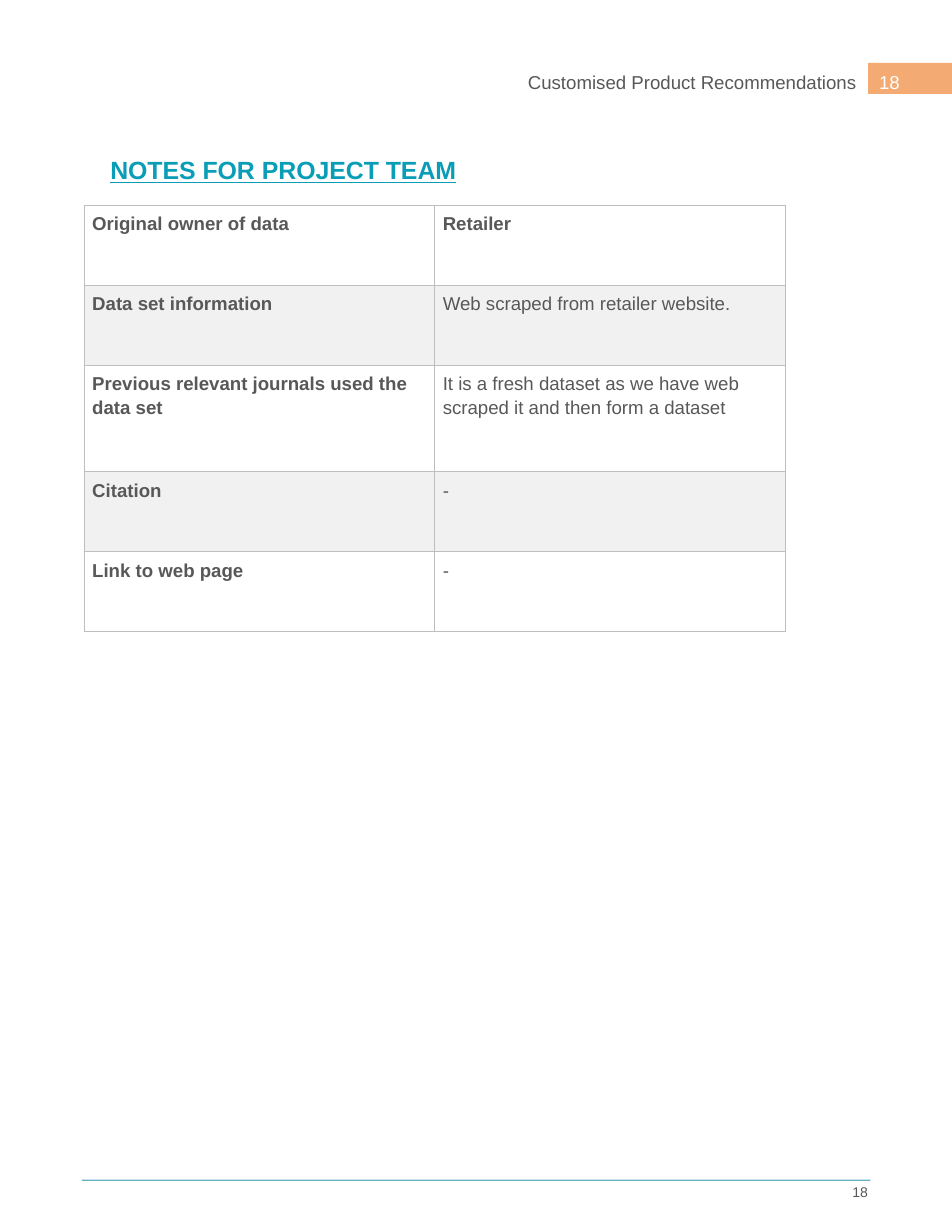
"""Build the project team notes page with its data set table."""

from dataclasses import dataclass

from lxml import etree
from pptx import Presentation
from pptx.dml.color import RGBColor
from pptx.enum import shapes, text
from pptx.oxml import ns
from pptx.util import Length, Pt

FONT = "Arial"
GREY = RGBColor(0x58, 0x58, 0x58)
WHITE = RGBColor(0xFF, 0xFF, 0xFF)
TEAL = RGBColor(0x0A, 0x9D, 0xB7)
RULE = RGBColor(0x63, 0xB1, 0xC1)
ORANGE = RGBColor(0xF4, 0xAA, 0x73)
BAND = RGBColor(0xF1, 0xF1, 0xF1)
BORDER = RGBColor(0xBE, 0xBE, 0xBE)


@dataclass(frozen=True)
class Box:
    left: float
    top: float
    width: float
    height: float

    def lengths(self) -> tuple[Length, ...]:
        return Pt(self.left), Pt(self.top), Pt(self.width), Pt(self.height)


@dataclass(frozen=True)
class Row:
    label: str
    value: str
    height: float = 51.5
    inset: float = 5.5
    line_spacing: float = 1.0
    bold_value: bool = False


PAGE_NUMBER = "18"
TABLE_BOX = Box(54, 131.76, 450.8, 274.4)
ROWS = [
    Row("Original owner of data", "Retailer", bold_value=True),
    Row("Data set information", "Web scraped from retailer website."),
    Row("Previous relevant journals used the data set",
        "It is a fresh dataset as we have web scraped it and then form a dataset",
        height=68.4, inset=3.4, line_spacing=1.15),
    Row("Citation", "-"),
    Row("Link to web page", "-"),
]


def write(frame, content: str, *, size: float = 12, color: RGBColor = GREY,
          bold: bool = False, underline: bool = False, line_spacing: float = 1.0) -> None:
    paragraph = frame.paragraphs[0]
    paragraph.alignment = text.PP_ALIGN.LEFT
    paragraph.line_spacing = line_spacing
    run = paragraph.add_run()
    run.text = content
    font = run.font
    font.name, font.size, font.bold, font.underline = FONT, Pt(size), bold, underline
    font.color.rgb = color


def set_frame(frame, left: float, top: float) -> None:
    frame.margin_left, frame.margin_top = Pt(left), Pt(top)
    frame.margin_right = frame.margin_bottom = 0
    frame.vertical_anchor = text.MSO_ANCHOR.TOP
    frame.auto_size = text.MSO_AUTO_SIZE.NONE
    frame.word_wrap = False


def add_text(slide, box: Box, content: str, *, indent: float, **style) -> None:
    frame = slide.shapes.add_textbox(*box.lengths()).text_frame
    set_frame(frame, indent, 1)
    write(frame, content, **style)


def add_rectangle(slide, box: Box, color: RGBColor):
    shape = slide.shapes.add_shape(shapes.MSO_SHAPE.RECTANGLE, *box.lengths())
    shape.shadow.inherit = False
    shape.fill.solid()
    shape.fill.fore_color.rgb = color
    shape.line.fill.background()
    return shape


def set_borders(cell) -> None:
    properties = cell._tc.get_or_add_tcPr()
    for position, side in enumerate(("lnL", "lnR", "lnT", "lnB")):
        line = etree.Element(ns.qn(f"a:{side}"), w=str(Pt(0.5)))
        fill = etree.SubElement(line, ns.qn("a:solidFill"))
        etree.SubElement(fill, ns.qn("a:srgbClr"), val=str(BORDER))
        properties.insert(position, line)


def fill_cell(cell, row: Row, content: str, *, bold: bool, banded: bool) -> None:
    cell.margin_left, cell.margin_top = Pt(5.3), Pt(row.inset)
    cell.margin_right = cell.margin_bottom = 0
    cell.vertical_anchor = text.MSO_ANCHOR.TOP
    if banded:
        cell.fill.solid()
        cell.fill.fore_color.rgb = BAND
    else:
        cell.fill.background()
    set_borders(cell)
    write(cell.text_frame, content, bold=bold, line_spacing=row.line_spacing)


def add_notes_table(slide, rows: list[Row]) -> None:
    table = slide.shapes.add_table(len(rows), 2, *TABLE_BOX.lengths()).table
    table.first_row = table.horz_banding = False
    for column in table.columns:
        column.width = Pt(TABLE_BOX.width / 2)
    for index, row in enumerate(rows):
        table.rows[index].height = Pt(row.height)
        banded = index % 2 == 1
        fill_cell(table.cell(index, 0), row, row.label, bold=True, banded=banded)
        fill_cell(table.cell(index, 1), row, row.value, bold=row.bold_value, banded=banded)


def set_title(slide, box: Box, content: str) -> None:
    title = slide.shapes.title
    title.left, title.top, title.width, title.height = box.lengths()
    set_frame(title.text_frame, 1, 1)
    write(title.text_frame, content, size=16, color=TEAL, bold=True, underline=True)


def main() -> None:
    presentation = Presentation()
    presentation.slide_width, presentation.slide_height = Pt(612), Pt(792)
    slide = presentation.slides.add_slide(presentation.slide_layouts[5])

    add_rectangle(slide, Box(52.6, 758.4, 507, 0.72), RULE)
    marker = add_rectangle(slide, Box(558, 40.4, 54, 20), ORANGE)
    set_frame(marker.text_frame, 7.2, 5.2)
    write(marker.text_frame, PAGE_NUMBER, color=WHITE)
    add_text(slide, Box(545, 759.6, 17.3, 12.2), PAGE_NUMBER, indent=3, size=9)
    add_text(slide, Box(338.4, 44.7, 213, 16.6), "Customised Product Recommendations", indent=1)
    set_title(slide, Box(69.9, 98.7, 224.6, 21), "NOTES FOR PROJECT TEAM")
    add_notes_table(slide, ROWS)
    presentation.save("out.pptx")


if __name__ == "__main__":
    main()
